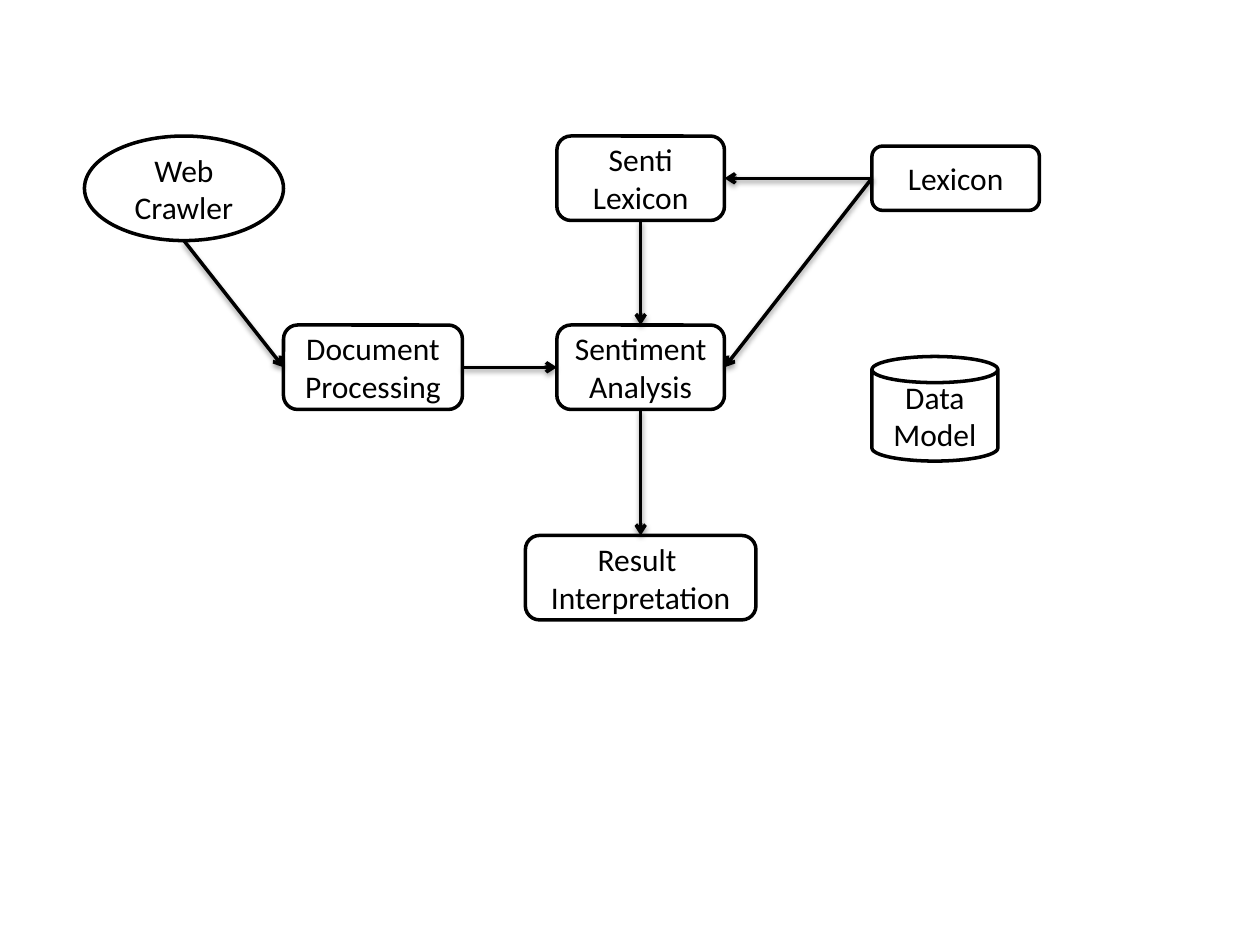
from lxml import etree
from pptx import Presentation
from pptx.dml.color import RGBColor
from pptx.enum import shapes, text
from pptx.oxml import parse_xml
from pptx.oxml.ns import nsdecls, qn
from pptx.util import Inches, Pt

THEME = {
    "ink": RGBColor(0, 0, 0),
    "paper": RGBColor(255, 255, 255),
    "font": "Calibri",
    "size": Pt(18),
    "stroke": Pt(2),
}
SHADOW = (
    f'<a:effectLst {nsdecls("a")}>'
    f'<a:outerShdw blurRad="{Pt(3.1)}" dist="{Pt(1.6)}" dir="5400000" rotWithShape="0">'
    '<a:srgbClr val="000000"><a:alpha val="38000"/></a:srgbClr>'
    "</a:outerShdw></a:effectLst>"
)

deck = Presentation()
deck.slide_width, deck.slide_height = Inches(10), Inches(7.5)
slide = deck.slides.add_slide(deck.slide_layouts[6])


def outline(line):
    line.color.rgb = THEME["ink"]
    line.width = THEME["stroke"]


# Pipeline steps and resources: kind, left, top, width, height, label lines
OVAL = shapes.MSO_SHAPE.OVAL
BOX = shapes.MSO_SHAPE.ROUNDED_RECTANGLE
CAN = shapes.MSO_SHAPE.CAN
STEPS = {
    "crawler": (OVAL, 0.67, 1.08, 1.58, 0.83, ["Web", "Crawler"]),
    "processing": (BOX, 2.25, 2.58, 1.42, 0.67, ["Document", "Processing"]),
    "analysis": (BOX, 4.42, 2.58, 1.33, 0.67, ["Sentiment", "Analysis"]),
    "lexicon": (BOX, 6.92, 1.16, 1.33, 0.51, ["Lexicon"]),
    "senti": (BOX, 4.42, 1.08, 1.33, 0.67, ["Senti", "Lexicon"]),
    "result": (BOX, 4.17, 4.25, 1.83, 0.67, ["Result ", "Interpretation"]),
    "model": (CAN, 6.92, 2.83, 1, 0.83, ["Data", "Model"]),
}
steps = {}
for key, (kind, *frame, label) in STEPS.items():
    step = slide.shapes.add_shape(kind, *map(Inches, frame))
    step.shadow.inherit = False
    step.fill.solid()
    step.fill.fore_color.rgb = THEME["paper"]
    outline(step.line)
    step.text_frame.text = "\n".join(label)
    step.text_frame.vertical_anchor = text.MSO_ANCHOR.MIDDLE
    for paragraph in step.text_frame.paragraphs:
        paragraph.alignment = text.PP_ALIGN.CENTER
        paragraph.font.name = THEME["font"]
        paragraph.font.size = THEME["size"]
        paragraph.font.color.rgb = THEME["ink"]
    steps[key] = step

# Flow arrows, attached at the middle of a side
TOP, LEFT, BOTTOM, RIGHT = range(4)
FLOWS = [
    ("crawler", BOTTOM, "processing", LEFT),
    ("processing", RIGHT, "analysis", LEFT),
    ("lexicon", LEFT, "analysis", RIGHT),
    ("lexicon", LEFT, "senti", RIGHT),
    ("senti", BOTTOM, "analysis", TOP),
    ("analysis", BOTTOM, "result", TOP),
]
for source, exit_side, target, entry_side in FLOWS:
    flow = slide.shapes.add_connector(shapes.MSO_CONNECTOR.STRAIGHT, 0, 0, 0, 0)
    flow.begin_connect(steps[source], exit_side)
    flow.end_connect(steps[target], entry_side)
    if source == "crawler":  # an ellipse has eight sites; its bottom is the fifth
        flow._element.find(".//" + qn("a:stCxn")).set("idx", "4")
    outline(flow.line)
    etree.SubElement(flow.line._get_or_add_ln(), qn("a:tailEnd"), type="arrow")
    flow._element.spPr.append(parse_xml(SHADOW))

deck.save("out.pptx")
